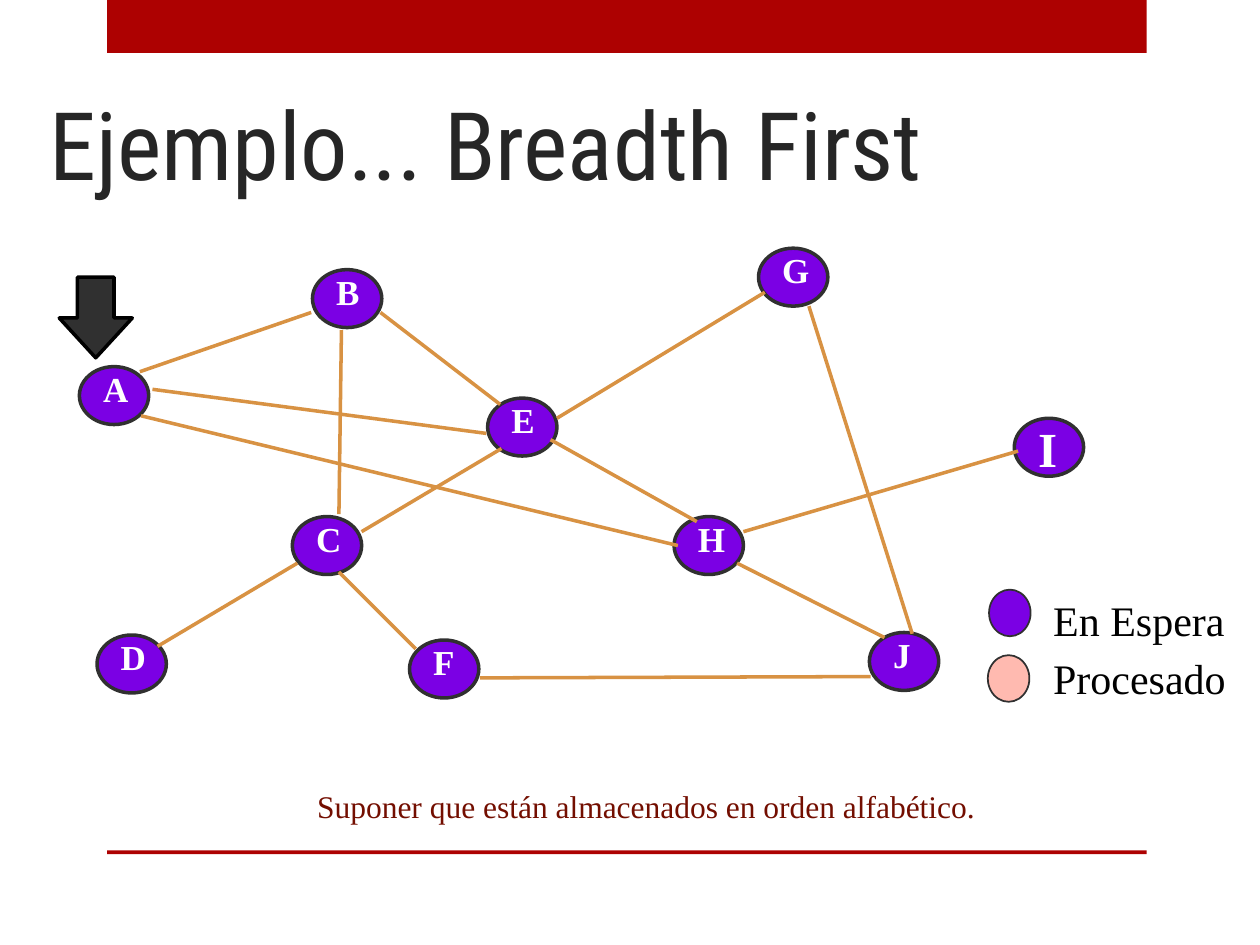
from dataclasses import dataclass

from pptx import Presentation, util as u
from pptx.dml.color import RGBColor
from pptx.enum import shapes, text
from pptx.oxml import xmlchemy

COLORS = {
    "band": "AD0101", "title": "262626", "waiting": "7B00E4",
    "processed": "FFBAB0", "outline": "303030", "edge": "D89243",
    "label": "FFFFFF", "ink": "000000", "note": "730E00",
}
SERIF = "Times New Roman"
CELL = 0.1
NODE_SIZE = (5.5, 4.6)
NODES = {
    "A": (2.3, 10.1, 4.1), "B": (20.8, 2.4, 3.9), "G": (56.2, 0.7, 4.3),
    "E": (34.7, 12.6, 3.9), "C": (19.2, 22, 4.1), "D": (3.7, 31.4, 4.1),
    "F": (28.5, 31.8, 3.6), "J": (65, 31.2, 3.4), "H": (49.5, 22, 4.2),
    "I": (76.5, 14.2, 2.9),
}
EDGES = [
    (8.1, 11.9, 34.6, 15.4), (7.2, 14, 49.8, 24.3), (54.5, 25.7, 66.2, 31.6),
    (39.7, 15.9, 51.3, 22.4), (55, 23.2, 76.8, 16.8), (68.4, 31.3, 60.2, 5.3),
    (40.2, 14.2, 56.7, 4.2), (26.2, 5.8, 35.7, 13.1), (23.1, 7.2, 22.9, 21.8),
    (8.5, 32.3, 19.6, 25.7), (29, 32.5, 22.9, 26.4), (34.1, 34.8, 65.1, 34.7),
    (24.7, 23.2, 35.8, 16.6), (7.1, 10.5, 20.7, 5.8),
]


@dataclass
class Box:
    """A region measured in grid columns and rows."""
    left: float
    top: float
    width: float
    height: float

    def at(self, col, row):
        """Return the slide position of a grid point in this region."""
        return u.Inches((self.left + col) * CELL), u.Inches((self.top + row) * CELL)

    def area(self, col, row, cols, rows):
        """Return the slide position and size of an area of this region."""
        return *self.at(col, row), u.Inches(cols * CELL), u.Inches(rows * CELL)


def color(name):
    """Look up a palette colour."""
    return RGBColor.from_string(COLORS[name])


def add_preset(slide, kind, place, fill, outline=None, weight=2):
    """Add a flat preset shape."""
    shape = slide.shapes.add_shape(kind, *place)
    shape.shadow.inherit = False
    shape.fill.solid()
    shape.fill.fore_color.rgb = color(fill)
    if outline:
        shape.line.color.rgb = color(outline)
        shape.line.width = u.Pt(weight)
    else:
        shape.line.fill.background()
    return shape


def add_text(slide, place, lines, size, ink, font=SERIF, bold=False,
             wrap=False, align=text.PP_ALIGN.LEFT, spacing=None):
    """Add a text box with one paragraph for each line."""
    frame = slide.shapes.add_textbox(*place).text_frame
    frame.word_wrap = wrap
    frame.text = "\n".join(lines)
    for paragraph in frame.paragraphs:
        paragraph.alignment = align
        paragraph.line_spacing = spacing
        paragraph.font.name = font
        paragraph.font.size = u.Pt(size)
        paragraph.font.bold = bold
        paragraph.font.color.rgb = color(ink)
    return frame


def draw_frame(slide, box):
    """Draw the top band and the bottom rule."""
    for row, rows in ((0, 4.2), (box.height - 0.3, 0.3)):
        add_preset(slide, shapes.MSO_SHAPE.RECTANGLE,
                   box.area(0, row, box.width, rows), "band")


def draw_title(slide, box):
    """Write the slide title at the foot of its region."""
    title = add_text(slide, box.area(0, 0, box.width, box.height),
                     ["Ejemplo... Breadth First"], 54, "title",
                     font="Roboto Condensed", wrap=True)
    title.vertical_anchor = text.MSO_ANCHOR.BOTTOM
    title.margin_left = u.Inches(0.07)
    title.margin_bottom = 0


def draw_graph(slide, box):
    """Draw the nodes, the edges and the arrow at the start node."""
    for letter, (col, row, label_cols) in NODES.items():
        add_preset(slide, shapes.MSO_SHAPE.OVAL,
                   box.area(col, row, *NODE_SIZE), "waiting", "outline")
        size, rows = (28, 5.7) if letter == "I" else (20, 4.4)
        add_text(slide, box.area(col + 0.9, row - 0.45, label_cols, rows),
                 [letter], size, "label", bold=True)
    for x1, y1, x2, y2 in EDGES:
        edge = slide.shapes.add_connector(
            shapes.MSO_CONNECTOR.STRAIGHT, *box.at(x1, y1), *box.at(x2, y2))
        edge.line.color.rgb = color("edge")
        edge.line.width = u.Pt(2)
        edge._element.spPr.append(xmlchemy.OxmlElement("a:effectLst"))
    arrow = add_preset(slide, shapes.MSO_SHAPE.DOWN_ARROW,
                       box.area(0.7, 3, 5.8, 6.4), "outline", "ink")
    arrow.adjustments[0] = 0.5
    arrow.adjustments[1] = 0.545


def draw_legend(slide, box):
    """Draw the key to the node states."""
    for col, row, state in ((0.1, 0.7, "waiting"), (0, 5.9, "processed")):
        add_preset(slide, shapes.MSO_SHAPE.OVAL,
                   box.area(col, row, 3.3, 3.7), state, "outline", 1)
    add_text(slide, box.area(4.2, 0, box.width - 4.2, box.height),
             ["En Espera", "Procesado"], 24, "ink", spacing=1.15)


def draw_note(slide, box):
    """Write the assumption below the graph."""
    add_text(slide, box.area(0, 0, box.width, box.height),
             ["Suponer que están almacenados en orden alfabético."],
             18, "note", wrap=True, align=text.PP_ALIGN.CENTER)


def main():
    """Build and save the slide."""
    deck = Presentation()
    deck.slide_width, deck.slide_height = u.Inches(10), u.Inches(7.5)
    slide = deck.slides.add_slide(deck.slide_layouts[6])
    draw_frame(slide, Box(8.5, 0, 82.5, 67.8))
    draw_title(slide, Box(3.2, 3.3, 92.6, 12.5))
    draw_graph(slide, Box(4, 19, 82, 37))
    draw_legend(slide, Box(78.4, 46.1, 20.1, 10.2))
    draw_note(slide, Box(23.2, 62, 56.2, 4))
    deck.save("out.pptx")


main()
